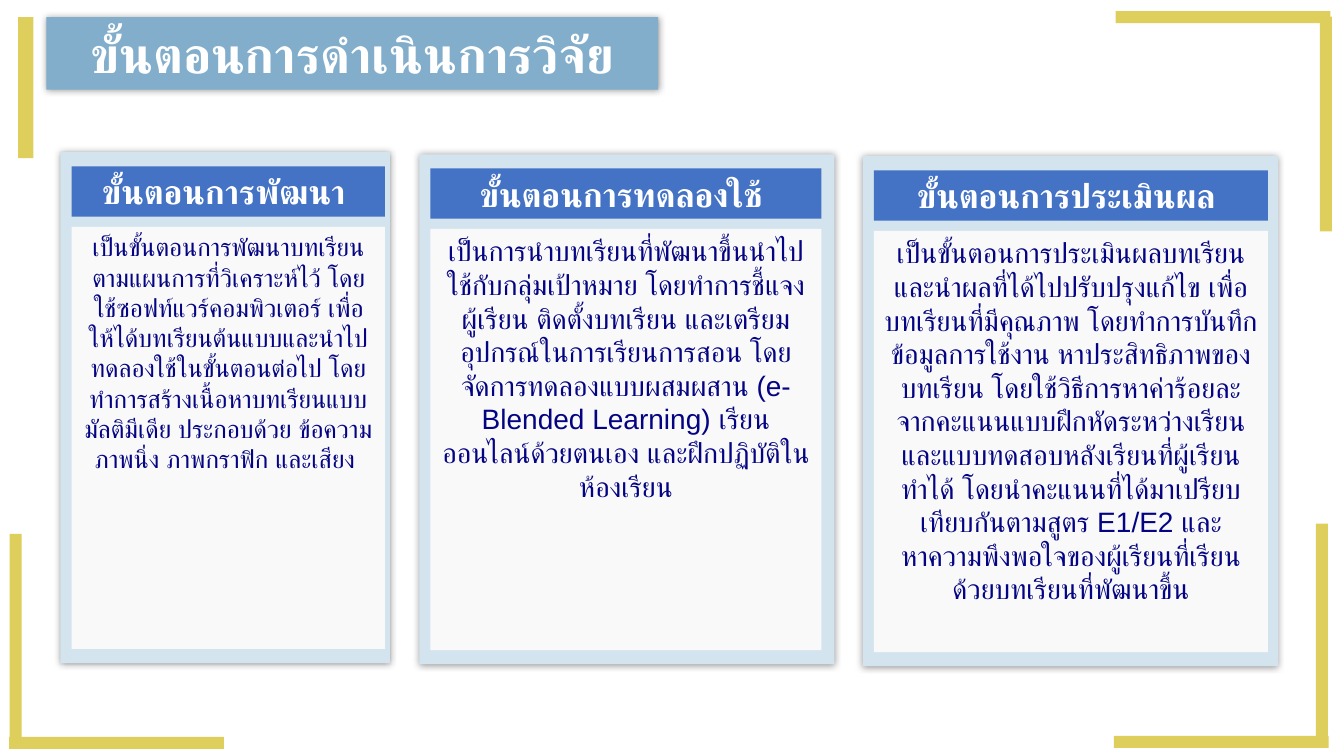
from dataclasses import dataclass

from lxml import etree
from pptx import Presentation
from pptx.dml.color import RGBColor
from pptx.enum.shapes import MSO_SHAPE
from pptx.enum.text import MSO_ANCHOR, MSO_AUTO_SIZE, PP_ALIGN
from pptx.oxml.ns import qn
from pptx.shapes.autoshape import Shape
from pptx.shapes.shapetree import GroupShapes, SlideShapes
from pptx.util import Pt

RECT = MSO_SHAPE.RECTANGLE
TOP, MIDDLE = MSO_ANCHOR.TOP, MSO_ANCHOR.MIDDLE
CENTER = PP_ALIGN.CENTER
FIT_SHAPE = MSO_AUTO_SIZE.SHAPE_TO_FIT_TEXT

FONT = "Arial"
TITLE_BLUE, HEADER_BLUE, NAVY = "82AECC", "4472C4", "040483"
CARD_BLUE, PANEL, WHITE, GOLD = "D4E4EE", "F9F9F9", "FFFFFF", "DECF5C"
BAR_LENGTH, BAR_WIDTH = 153.4, 8.6
INSET, HEADER_TOP, HEADER_HEIGHT, BODY_TOP, BODY_MARGIN = 7.9, 10.1, 36, 53.3, 63.4


@dataclass
class Box:
    left: float
    top: float
    width: float
    height: float


@dataclass
class Step:
    card: Box
    inner_width: float
    heading: str
    body: str
    body_size: float


BARS = [
    Box(13, 12.2, 10.8, 100.8),
    Box(6.5, 526.3, BAR_LENGTH, BAR_WIDTH),
    Box(6.8, 381.4, BAR_WIDTH, BAR_LENGTH),
    Box(942.8, 11.9, BAR_WIDTH, BAR_LENGTH),
    Box(797, 7.9, BAR_LENGTH, BAR_WIDTH),
    Box(795.6, 525.6, BAR_LENGTH, BAR_WIDTH),
    Box(940, 374, BAR_WIDTH, BAR_LENGTH),
]

STEPS = [
    Step(Box(299.5, 110.2, 296.6, 364.3), 279.4, "ขั้นตอนการทดลองใช้ ",
         "เป็นการนำบทเรียนที่พัฒนาขึ้นนำไปใช้กับกลุ่มเป้าหมาย โดยทำการชี้แจงผู้เรียน "
         "ติดตั้งบทเรียน และเตรียมอุปกรณ์ในการเรียนการสอน โดยจัดการทดลองแบบผสมผสาน "
         "(e-Blended Learning) เรียนออนไลน์ด้วยตนเอง และฝึกปฏิบัติในห้องเรียน", 20),
    Step(Box(616.3, 111.6, 296.6, 364.3), 281.5, "ขั้นตอนการประเมินผล ",
         "เป็นขั้นตอนการประเมินผลบทเรียนและนำผลที่ได้ไปปรับปรุงแก้ไข เพื่อบทเรียนที่มีคุณภาพ "
         "โดยทำการบันทึกข้อมูลการใช้งาน หาประสิทธิภาพของบทเรียน "
         "โดยใช้วิธีการหาค่าร้อยละจากคะแนนแบบฝึกหัดระหว่างเรียนและแบบทดสอบหลังเรียนที่ผู้เรียนทำได้ "
         "โดยนำคะแนนที่ได้มาเปรียบเทียบกันตามสูตร E1/E2 "
         "และหาความพึงพอใจของผู้เรียนที่เรียนด้วยบทเรียนที่พัฒนาขึ้น", 20),
    Step(Box(43.2, 108.7, 235.4, 365), 223.9, "ขั้นตอนการพัฒนา ",
         "เป็นขั้นตอนการพัฒนาบทเรียนตามแผนการที่วิเคราะห์ไว้ โดยใช้ซอฟท์แวร์คอมพิวเตอร์ "
         "เพื่อให้ได้บทเรียนต้นแบบและนำไปทดลองใช้ในขั้นตอนต่อไป "
         "โดยทำการสร้างเนื้อหาบทเรียนแบบมัลติมีเดีย ประกอบด้วย ข้อความ ภาพนิ่ง ภาพกราฟิก และเสียง ", 18),
]


def rgb(color: str) -> RGBColor:
    return RGBColor.from_string(color)


def add_rect(shapes: SlideShapes | GroupShapes, box: Box, fill: str) -> Shape:
    sp = shapes.add_shape(RECT, Pt(box.left), Pt(box.top), Pt(box.width), Pt(box.height))
    sp.shadow.inherit = False
    sp.fill.solid()
    sp.fill.fore_color.rgb = rgb(fill)
    sp.line.fill.background()
    return sp


def add_glow_shadow(sp: Shape) -> None:
    effects = sp._element.spPr.find(qn("a:effectLst"))
    shadow = etree.SubElement(effects, qn("a:outerShdw"), blurRad=str(Pt(5)), dist="0",
                              dir="0", algn="ctr", rotWithShape="0")
    color = etree.SubElement(shadow, qn("a:srgbClr"), val="000000")
    etree.SubElement(color, qn("a:alpha"), val="40000")


def write(sp: Shape, text: str, size: float, color: str, bold: bool = False,
          anchor: MSO_ANCHOR = MIDDLE) -> None:
    tf = sp.text_frame
    tf.word_wrap = True
    tf.vertical_anchor = anchor
    p = tf.paragraphs[0]
    p.alignment = CENTER
    r = p.add_run()
    r.text = text
    p.font.size = Pt(size)
    p.font.bold = bold
    p.font.color.rgb = rgb(color)
    p.font.name = FONT
    # Thai letters take the complex-script typeface
    etree.SubElement(p._p.pPr.find(qn("a:defRPr")), qn("a:cs"), typeface=FONT)


def add_step(shapes: SlideShapes, step: Step) -> None:
    card = step.card
    group = shapes.add_group_shape().shapes
    add_glow_shadow(add_rect(group, card, CARD_BLUE))
    left = card.left + INSET
    body = add_rect(group, Box(left, card.top + BODY_TOP, step.inner_width,
                               card.height - BODY_MARGIN), PANEL)
    write(body, step.body, step.body_size, NAVY, anchor=TOP)
    header = add_rect(group, Box(left, card.top + HEADER_TOP, step.inner_width,
                                 HEADER_HEIGHT), HEADER_BLUE)
    write(header, step.heading, 24, WHITE, bold=True)
    header.text_frame.auto_size = FIT_SHAPE


def main() -> None:
    prs = Presentation()
    prs.slide_width, prs.slide_height = Pt(960), Pt(540)
    s = prs.slides.add_slide(prs.slide_layouts[6])

    # Title banner
    title = add_rect(s.shapes, Box(33.1, 12.2, 437, 51.8), TITLE_BLUE)
    add_glow_shadow(title)
    write(title, "ขั้นตอนการดำเนินการวิจัย", 36, WHITE, bold=True)

    # Corner bars
    for bar in BARS:
        add_rect(s.shapes, bar, GOLD)

    # Research steps
    for step in STEPS:
        add_step(s.shapes, step)

    prs.save("out.pptx")


if __name__ == "__main__":
    main()
